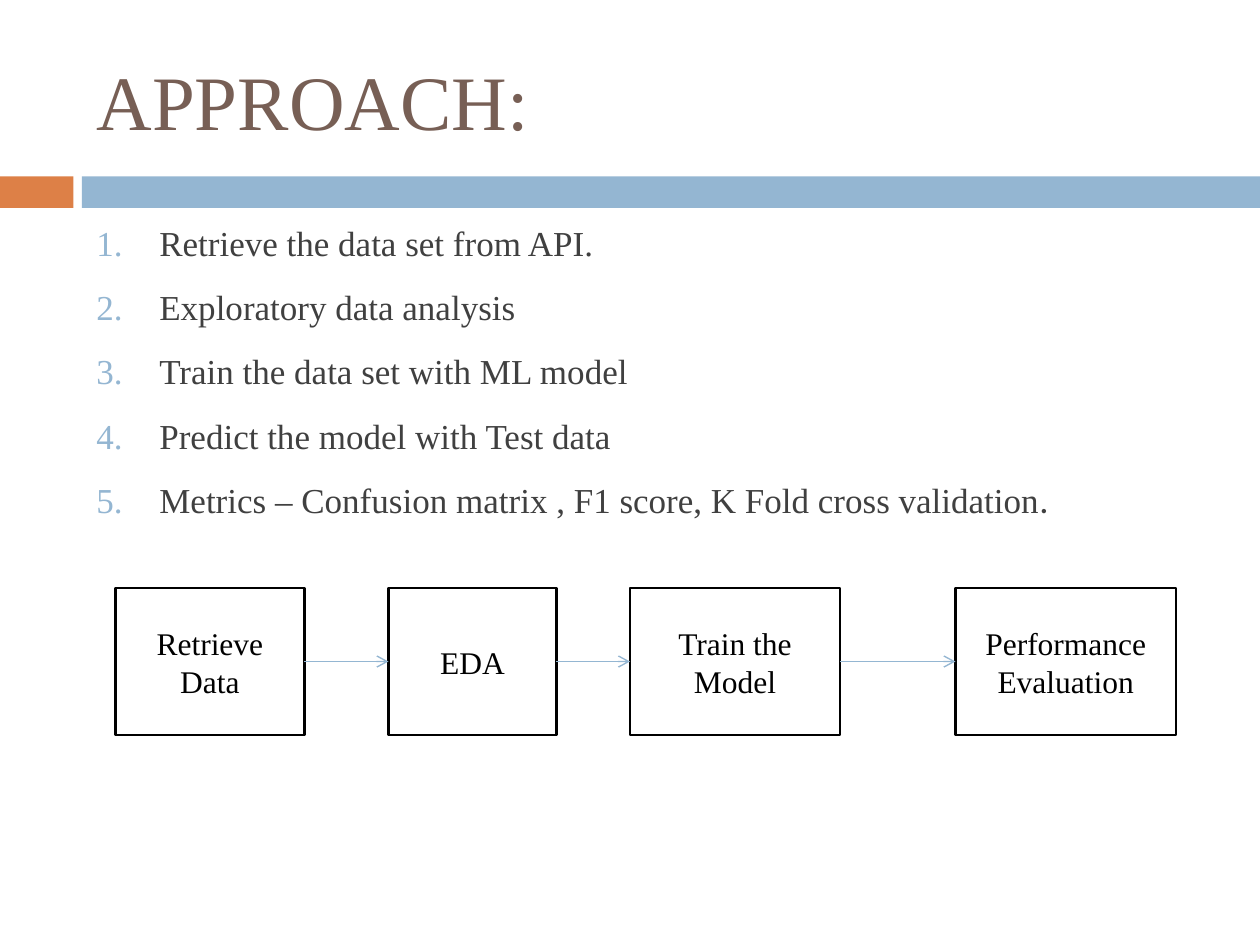
from itertools import pairwise

from lxml.etree import SubElement
from pptx import Presentation
from pptx.dml.color import RGBColor
from pptx.enum.shapes import MSO_CONNECTOR as Connector, MSO_SHAPE as Shape
from pptx.enum.text import MSO_ANCHOR as Anchor, PP_ALIGN as Align
from pptx.oxml.ns import qn
from pptx.util import Inches, Pt

COLORS = {
    "title": "775F55", "body": "404040", "accent": "DD8047",
    "band": "94B6D2", "ink": "000000", "paper": "FFFFFF",
}
SERIF = "Times New Roman"
UNITS_PER_INCH = 12
STEPS = [
    "Retrieve the data set from API.",
    "Exploratory data analysis",
    "Train the data set with ML model ",
    "Predict the model with Test data",
    "Metrics – Confusion matrix , F1 score, K Fold cross validation",
]
STAGES = [
    ("Retrieve Data", 11, 18),
    ("EDA", 37, 16),
    ("Train the Model", 60, 20),
    ("Performance Evaluation", 91, 21),
]


def grid(*units):
    """Convert grid units to slide lengths."""
    return [Inches(unit / UNITS_PER_INCH) for unit in units]


def rgb(key):
    """Look up a palette colour."""
    return RGBColor.from_string(COLORS[key])


def style(run, size, color, font=SERIF):
    """Format one run of text."""
    run.font.size = Pt(size)
    run.font.name = font
    run.font.color.rgb = rgb(color)


def add_box(slide, place, fill, outline=None):
    """Draw a flat rectangle."""
    box = slide.shapes.add_shape(Shape.RECTANGLE, *place)
    box.shadow.inherit = False
    box.fill.solid()
    box.fill.fore_color.rgb = rgb(fill)
    if outline:
        box.line.color.rgb = rgb(outline)
        box.line.width = Pt(1.5)
    else:
        box.line.fill.background()
    return box


def add_title(slide, text):
    """Place and format the title."""
    title = slide.shapes.title
    title.left, title.top, title.width, title.height = grid(8, 3, 107, 13)
    frame = title.text_frame
    frame.text = text
    frame.vertical_anchor = Anchor.MIDDLE
    frame.paragraphs[0].alignment = Align.LEFT
    style(frame.paragraphs[0].runs[0], 44, "title")


def number(paragraph):
    """Give a paragraph a coloured number with a hanging indent."""
    props = paragraph._p.get_or_add_pPr()
    props.set("marL", str(Inches(0.5)))
    props.set("indent", str(-Inches(0.5)))
    color = SubElement(props, qn("a:buClr"))
    SubElement(color, qn("a:srgbClr"), val=COLORS["band"])
    SubElement(props, qn("a:buFont"), typeface=SERIF)
    SubElement(props, qn("a:buAutoNum"), type="arabicPeriod")


def add_steps(slide, steps):
    """Write the numbered list of steps."""
    frame = slide.shapes.add_textbox(*grid(8, 21, 107, 59)).text_frame
    frame.word_wrap = True
    frame.text = "\n".join(steps)
    for step in frame.paragraphs:
        step.line_spacing = 0.9
        step.space_before = Pt(12)
        step.space_after = Pt(3)
        number(step)
        style(step.runs[0], 20, "body")
    full_stop = frame.paragraphs[-1].add_run()
    full_stop.text = "."
    style(full_stop, 20, "body", "Lato")


def add_stage(slide, label, column, width):
    """Draw one labelled stage of the flow."""
    stage = add_box(slide, grid(column, 56, width, 14), "paper", "ink")
    frame = stage.text_frame
    frame.word_wrap = True
    frame.text = label
    frame.vertical_anchor = Anchor.MIDDLE
    frame.paragraphs[0].alignment = Align.CENTER
    style(frame.paragraphs[0].runs[0], 18, "ink")
    return stage


def add_arrow(slide, source, target):
    """Link two stages with an arrow."""
    arrow = slide.shapes.add_connector(Connector.STRAIGHT, 0, 0, 0, 0)
    arrow.begin_connect(source, 3)
    arrow.end_connect(target, 1)
    arrow.line.color.rgb = rgb("band")
    arrow.line.width = Pt(0.79)
    SubElement(arrow.line._get_or_add_ln(), qn("a:tailEnd"), type="arrow")
    SubElement(arrow._element.spPr, qn("a:effectLst"))


def main():
    """Build and save the slide."""
    deck = Presentation()
    deck.slide_width, deck.slide_height = grid(120, 90)
    slide = deck.slides.add_slide(deck.slide_layouts[5])
    add_box(slide, grid(0, 16.8, 7, 3), "accent")
    add_box(slide, grid(7.8, 16.8, 112.2, 3), "band")
    add_title(slide, "APPROACH:")
    add_steps(slide, STEPS)
    stages = [add_stage(slide, *stage) for stage in STAGES]
    for source, target in pairwise(stages):
        add_arrow(slide, source, target)
    deck.save("out.pptx")


main()
